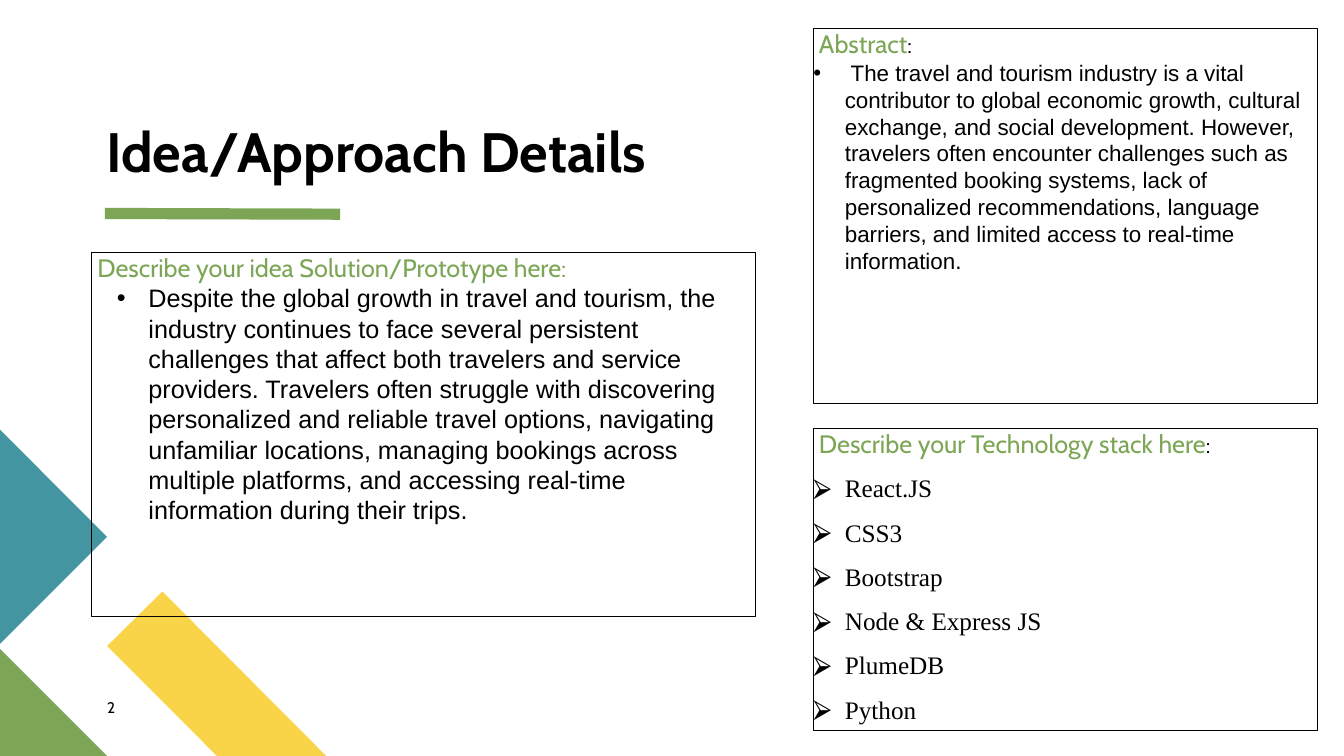
import pptx
import pptx.dml.color
import pptx.enum.shapes
import pptx.enum.text
import pptx.oxml
import pptx.oxml.ns
import pptx.util

Pt = pptx.util.Pt
COLORS = {"green": "7CA655", "teal": "4495A2", "yellow": "F9D448", "black": "000000"}
HEADING_FONT = "Cabin"
HEADING_SIZE = 18


class SlideBuilder:
    def __init__(self, deck):
        self.slide = deck.slides.add_slide(deck.slide_layouts[5])
        self.shapes = self.slide.shapes

    def color(self, name):
        return pptx.dml.color.RGBColor.from_string(COLORS[name])

    def style(self, font, size, name=HEADING_FONT, color="black", bold=False):
        font.name, font.size, font.bold = name, Pt(size), bold
        font.color.rgb = self.color(color)

    def prepare_frame(self, frame, anchor=pptx.enum.text.MSO_ANCHOR.TOP):
        frame.word_wrap = True
        frame.auto_size = pptx.enum.text.MSO_AUTO_SIZE.NONE
        frame.vertical_anchor = anchor
        frame.margin_left = frame.margin_right = 0
        frame.margin_top = frame.margin_bottom = 0

    def polygon(self, points, color):
        corners = [(Pt(x), Pt(y)) for x, y in points]
        builder = self.shapes.build_freeform(*corners[0])
        builder.add_line_segments(corners[1:], close=True)
        shape = builder.convert_to_shape()
        shape.shadow.inherit = False
        shape.fill.solid()
        shape.fill.fore_color.rgb = self.color(color)
        shape.line.fill.background()

    def line(self, start, end, color, width):
        line = self.shapes.add_connector(
            pptx.enum.shapes.MSO_CONNECTOR.STRAIGHT, *map(Pt, start + end))
        line.line.color.rgb = self.color(color)
        line.line.width = Pt(width)
        properties = line._element.spPr
        properties.append(pptx.oxml.parse_xml(
            f'<a:effectLst {pptx.oxml.ns.nsdecls("a")}/>'))

    def title(self, text, bounds, size):
        title = self.shapes.title
        title.left, title.top, title.width, title.height = map(Pt, bounds)
        self.prepare_frame(title.text_frame, pptx.enum.text.MSO_ANCHOR.BOTTOM)
        title.text_frame.text = text
        para = title.text_frame.paragraphs[0]
        para.alignment = pptx.enum.text.PP_ALIGN.LEFT
        para.line_spacing = 0.9
        self.style(para.font, size, bold=True)

    def text(self, text, bounds, size):
        box = self.shapes.add_textbox(*map(Pt, bounds))
        self.prepare_frame(box.text_frame)
        para = box.text_frame.paragraphs[0]
        para.text = text
        self.style(para.font, size)

    def panel(self, bounds, heading, colon=""):
        """Add an outlined box with a green heading and return its text frame."""
        box = self.shapes.add_textbox(*map(Pt, bounds))
        box.line.color.rgb = self.color("black")
        box.line.width = Pt(0.75)
        self.prepare_frame(box.text_frame)
        para = box.text_frame.paragraphs[0]
        span = para.add_run()
        span.text = heading
        if colon:
            self.style(span.font, HEADING_SIZE, color="green")
            span = para.add_run()
            span.text = colon
            self.style(span.font, 16)
        else:
            self.style(para.font, HEADING_SIZE, color="green")
        return box.text_frame

    def bullet(self, frame, text, size, font, mark="•", left=22.5, space=0):
        para = frame.add_paragraph()
        para.text = text
        para.space_before = Pt(space)
        properties = para._p.get_or_add_pPr()
        properties.set("marL", str(Pt(left)))
        properties.set("indent", str(Pt(-22.5)))
        namespace = pptx.oxml.ns.nsdecls("a")
        for xml in (f'<a:buFont {namespace} typeface="Arial"/>',
                    f'<a:buChar {namespace} char="{mark}"/>'):
            properties.append(pptx.oxml.parse_xml(xml))
        self.style(para.font, size, font)


def main():
    deck = pptx.Presentation()
    deck.slide_width, deck.slide_height = Pt(960), Pt(540)
    page = SlideBuilder(deck)

    page.polygon([(233, 540), (155, 540), (76.5, 461.5), (116, 422.5)], "yellow")
    page.polygon([(0, 463.5), (76.5, 540), (0, 540)], "green")
    page.polygon([(0, 307), (76.5, 383.5), (0, 460)], "teal")
    page.line((75, 152.5), (243, 153), "green", 8)

    page.title("Idea/Approach Details", (76, 83.5, 435.5, 48), 39.6)
    page.text("2", (76.5, 499, 41, 19.5), 11)

    idea = page.panel((65.5, 180.3, 474.5, 260),
                      " Describe your idea Solution/Prototype here:")
    page.bullet(
        idea,
        "Despite the global growth in travel and tourism, the industry continues to "
        "face several persistent challenges that affect both travelers and service "
        "providers. Travelers often struggle with discovering personalized and "
        "reliable travel options, navigating unfamiliar locations, managing bookings "
        "across multiple platforms, and accessing real-time information during their "
        "trips.", 18, "Arial", left=40.5)

    stack = page.panel((581, 306, 360, 216),
                       " Describe your Technology stack here", ":")
    for tool in ("React.JS", "CSS3", "Bootstrap", "Node & Express JS", "PlumeDB",
                 "Python"):
        page.bullet(stack, tool, 18, "Times New Roman", mark="⮚", space=10)

    abstract = page.panel((581, 20.5, 360, 267.5), " Abstract", ":")
    page.bullet(
        abstract,
        " The travel and tourism industry is a vital contributor to global economic "
        "growth, cultural exchange, and social development. However, travelers often "
        "encounter challenges such as fragmented booking systems, lack of "
        "personalized recommendations, language barriers, and limited access to "
        "real-time information.", 16, "Arial")

    deck.save("out.pptx")


if __name__ == "__main__":
    main()
